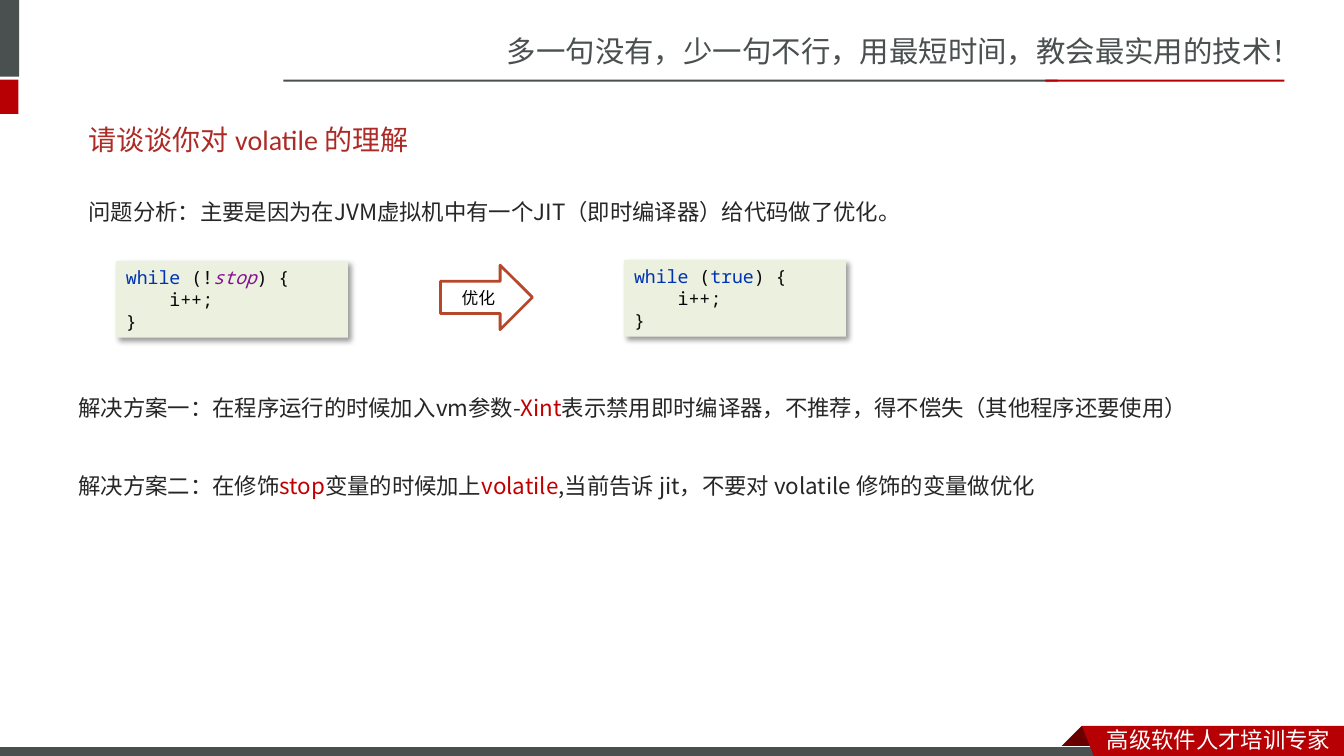
from lxml import etree
from pptx import Presentation
from pptx.dml.color import RGBColor
from pptx.enum.shapes import MSO_SHAPE
from pptx.enum.text import MSO_ANCHOR, PP_ALIGN
from pptx.oxml.ns import qn
from pptx.util import Inches, Pt

RECTANGLE = MSO_SHAPE.RECTANGLE
RIGHT_ARROW = MSO_SHAPE.RIGHT_ARROW
TOP, MIDDLE = MSO_ANCHOR.TOP, MSO_ANCHOR.MIDDLE
LEFT, CENTER = PP_ALIGN.LEFT, PP_ALIGN.CENTER

WIDTH, HEIGHT = Inches(13.33), Inches(7.5)
GREY, RED, DARK_RED, WHITE = "49504F", "B60004", "680000", "FFFFFF"
TITLE_RED, ACCENT, BODY = "AD2B26", "C00000", "262626"
CODE_FILL, KEYWORD, FIELD, CODE = "EBF1DE", "0033B3", "871094", "080808"
ARROW_LINE, BLACK = "B7472A", "000000"
SANS_SC, SANS_JP = "Noto Sans CJK SC", "Noto Sans CJK JP"
MONO, CALIBRI = "Noto Sans Mono", "Calibri"


def color(value):
    return RGBColor.from_string(value)


def across(share):
    """Turn a percentage of the slide's width into a length."""
    return round(WIDTH * share / 100)


def down(share):
    """Turn a percentage of the slide's height into a length."""
    return round(HEIGHT * share / 100)


def place(left, top, width, height):
    return across(left), down(top), across(width), down(height)


def paint(shape, fill=None, line=None, line_width=0.75):
    shape.shadow.inherit = False
    if fill:
        shape.fill.solid()
        shape.fill.fore_color.rgb = color(fill)
    else:
        shape.fill.background()
    if line:
        shape.line.color.rgb = color(line)
        shape.line.width = Pt(line_width)
    else:
        shape.line.fill.background()
    return shape


def add_block(page, area, kind=RECTANGLE, **look):
    return paint(page.shapes.add_shape(kind, *place(*area)), **look)


def add_outline(page, corners, fill):
    points = [(across(x), down(y)) for x, y in corners]
    builder = page.shapes.build_freeform(*points[0])
    builder.add_line_segments(points[1:], close=True)
    return paint(builder.convert_to_shape(), fill)


def write(box, lines, size, font, ink, anchor=TOP, align=LEFT, spacing=None, wrap=True):
    """Fill a box with lines, each a list of (text, colour or None, italic) spans."""
    frame = box.text_frame
    frame.word_wrap = wrap
    frame.vertical_anchor = anchor
    for index, spans in enumerate(lines):
        para = frame.paragraphs[0] if index == 0 else frame.add_paragraph()
        para.alignment = align
        if spacing:
            para.line_spacing = spacing
        for text, own_ink, italic in spans:
            span = para.add_run()
            span.text = text
            span.font.size = Pt(size)
            span.font.italic = italic
            span.font.color.rgb = color(own_ink or ink)
            span.font.name = font
            east = etree.SubElement(span.font.fill._xPr, qn("a:ea"))
            east.set("typeface", SANS_SC if font in (CALIBRI, MONO) else font)


def plain(text, ink=None, italic=False):
    return text, ink, italic


def add_text(page, area, spans, **style):
    write(page.shapes.add_textbox(*place(*area)), [spans], **style)


def add_drop_shadow(shape):
    effects = shape._element.spPr.find(qn("a:effectLst"))
    shadow = etree.SubElement(
        effects, qn("a:outerShdw"), blurRad=str(Pt(4)), dist=str(Pt(3)),
        dir=str(45 * 60000), algn="tl", rotWithShape="0")
    tint = etree.SubElement(shadow, qn("a:srgbClr"), val=BLACK)
    etree.SubElement(tint, qn("a:alpha"), val="40000")


def add_loop(page, area, condition):
    """Add a code card with a while loop whose condition is a list of spans."""
    card = add_block(page, area, fill=CODE_FILL)
    add_drop_shadow(card)
    head = [plain("while ", KEYWORD), *condition, plain(") {")]
    write(card, [head, [plain("    i++;")], [plain("}")]],
          size=13, font=MONO, ink=CODE, anchor=MIDDLE)


def add_frame(page):
    """Add the header and footer decoration."""
    add_text(page, (36.98, 3.73, 63.02, 6.27),
             [plain("多一句没有，少一句不行，用最短时间，教会最实用的技术！")],
             size=21, font=SANS_SC, ink=GREY)
    for area, fill in (
        ((0, 0, 1.43, 10.13), GREY),
        ((0, 10.53, 1.38, 4.53), RED),
        ((21.08, 10.53, 57.61, 0.27), GREY),
        ((77.79, 10.53, 17.78, 0.27), RED),
    ):
        add_block(page, area, fill=fill)
    add_outline(page, [(80.5, 96), (82.15, 98.93), (82.07, 99.07),
                       (78.92, 99.07), (78.84, 98.93)], DARK_RED)
    add_block(page, (-0.07, 98.8, 82.52, 1.6), fill=GREY, line=WHITE)
    add_outline(page, [(80.5, 96), (100, 96), (100, 100.53), (81.47, 100.4)], RED)
    add_text(page, (81.62, 95.33, 18.38, 4.93), [plain("高级软件人才培训专家")],
             size=16, font=SANS_SC, ink=WHITE, wrap=False)


def main():
    deck = Presentation()
    deck.slide_width, deck.slide_height = WIDTH, HEIGHT
    page = deck.slides.add_slide(deck.slide_layouts[6])
    add_frame(page)

    add_text(page, (5.85, 14.67, 87.77, 7.6), [plain("请谈谈你对 volatile 的理解")],
             size=20, font=CALIBRI, ink=TITLE_RED, anchor=MIDDLE)
    body = {"size": 16, "font": SANS_JP, "ink": BODY, "spacing": 1.5}
    add_text(page, (5.85, 23.73, 87.77, 8.53),
             [plain("问题分析：主要是因为在JVM虚拟机中有一个JIT（即时编译器）给代码做了优化。")],
             **body)

    add_loop(page, (8.63, 34.53, 17.25, 10.13), [plain("(!"), plain("stop", FIELD, True)])
    add_loop(page, (46.44, 34.4, 16.5, 10.13), [plain("("), plain("true", KEYWORD)])
    arrow = add_block(page, (32.78, 35.07, 6.83, 8.53), RIGHT_ARROW,
                      line=ARROW_LINE, line_width=2)
    write(arrow, [[plain("优化")]], size=12, font=CALIBRI, ink=BLACK,
          anchor=MIDDLE, align=CENTER)

    solutions = (
        [plain("解决方案一：在程序运行的时候加入vm参数-"), plain("Xint", ACCENT),
         plain("表示禁用即时编译器，不推荐，得不偿失（其他程序还要使用）")],
        [plain("解决方案二：在修饰"), plain("stop", ACCENT), plain("变量的时候加上"),
         plain("volatile", ACCENT), plain(",当前告诉 jit，不要对 volatile 修饰的变量做优化")],
    )
    for row, spans in enumerate(solutions):
        add_text(page, (5.1, 49.73 + 10.27 * row, 87.77, 8.53), spans, **body)

    deck.save("out.pptx")


if __name__ == "__main__":
    main()
